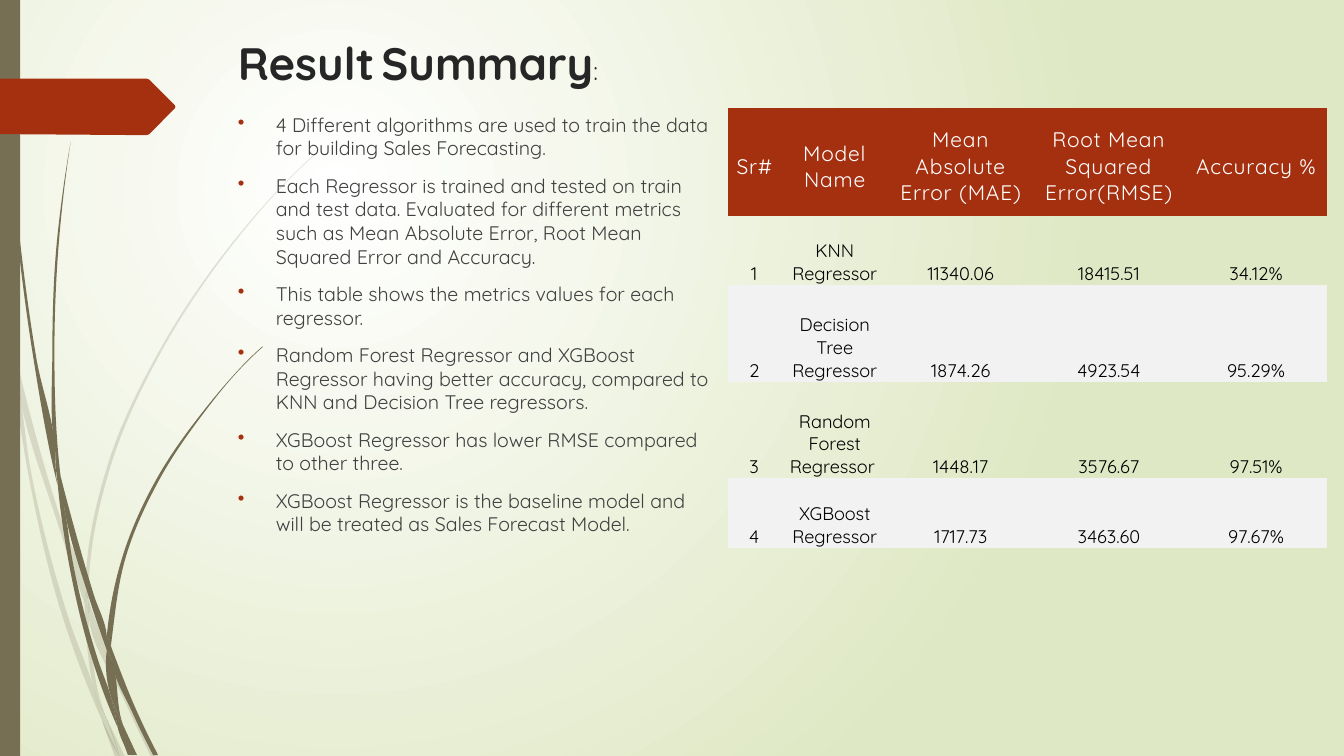
from math import dist

from lxml import etree
from pptx import Presentation
from pptx.dml.color import RGBColor
from pptx.enum.shapes import MSO_SHAPE
from pptx.enum.text import MSO_ANCHOR, PP_ALIGN
from pptx.oxml.ns import qn
from pptx.util import Pt

RECTANGLE = MSO_SHAPE.RECTANGLE
TOP, MIDDLE, BOTTOM = MSO_ANCHOR.TOP, MSO_ANCHOR.MIDDLE, MSO_ANCHOR.BOTTOM
CENTER = PP_ALIGN.CENTER
NO_TABLE_STYLE = "{2D5ABB26-0587-4C30-8999-92F81FD0307C}"

FAINT_GRASS = [
    [(7.9, 252), (6.5, 231.8), (0, 203), (0, 215.3), (7.2, 247.7)],
    [(41.8, 375.8), (60.5, 431.3), (61.2, 421.9), (44.6, 374.4), (10.1, 248.4), (12.2, 270.7)],
    [(66.2, 437), (63.4, 429.1), (63.4, 439.2), (88.6, 499.7), (108, 540.7), (111.6, 540.7),
     (91.4, 498.2)],
    [(85.7, 540.7), (89.3, 540.7), (75.6, 511.9)],
    [(67, 491.8), (50.4, 445.7), (22.3, 337.7), (12.2, 270.7), (7.9, 252), (20.2, 338.4),
     (46.8, 447.1), (66.2, 499), (72.7, 514.1), (71.3, 509)],
    [(60.5, 431.3), (62.6, 465.1), (67, 491.8), (69.1, 498.2), (75.6, 511.9), (74.2, 508.3),
     (65.5, 465.1), (63.4, 439.2), (63.4, 437.8)],
    [(63.4, 420.5), (79.2, 332.6), (115.2, 251.3), (164.9, 176.4), (193, 142.6), (208.8, 126),
     (224.6, 110.9), (224.6, 110.2), (208.1, 126), (193, 141.8), (164.2, 175.7),
     (113.8, 250.6), (77, 331.9), (61.2, 420.5), (61.2, 421.9), (63.4, 429.1)],
    [(72.7, 514.1), (82.1, 540.7), (85.7, 540.7)],
    [(63.4, 437.8), (63.4, 439.2), (63.4, 429.1), (61.2, 421.9), (60.5, 431.3)],
    [(69.1, 498.2), (67, 491.8), (71.3, 509), (72.7, 514.1), (85.7, 540.7), (75.6, 511.9)],
]
DARK_GRASS = [
    [(5, 79.2), (12.2, 167.8), (23.8, 255.6), (40.3, 343.4), (41, 346.3), (39.6, 329),
     (39.6, 326.2), (25.9, 255.6), (13.7, 167), (5.8, 78.5), (3.6, 34.6), (2.9, 0), (2.2, 0),
     (2.9, 34.6)],
    [(63.4, 426.2), (76.3, 464.4), (76.3, 454.3), (67, 424.8), (43.2, 339.8), (46.1, 363.6)],
    [(81.4, 467.3), (79.2, 461.5), (79.9, 472.3), (95, 509.8), (109.4, 539.3), (113, 539.3),
     (97.9, 508.3)],
    [(79.2, 497.5), (70.6, 473), (51.8, 400.3), (46.1, 363.6), (41, 343.4), (49, 401),
     (67, 474.5), (79.9, 509.8), (84.2, 519.8), (83.5, 516.2)],
    [(43.2, 339.8), (41.8, 326.2), (38.9, 251.3), (41.8, 176.4), (45.4, 139), (50.4, 101.5),
     (44.6, 139), (40.3, 176.4), (37.4, 251.3), (39.6, 323.3)],
    [(95.8, 539.3), (97.9, 539.3), (87.8, 517.7)],
    [(41, 343.4), (46.1, 363.6), (43.2, 339.8), (39.6, 323.3), (39.6, 326.2)],
    [(79.9, 455.8), (90, 397.4), (113.8, 342.7), (147.6, 292.3), (166.3, 269.3),
     (176.4, 258.5), (187.9, 247.7), (187.2, 247.7), (176.4, 257.8), (166.3, 268.6),
     (146.9, 291.6), (112.3, 341.3), (87.8, 396.7), (76.3, 454.3), (79.2, 461.5)],
    [(84.2, 519.8), (91.4, 539.3), (94.3, 539.3)],
    [(76.3, 464.4), (79.2, 497.5), (83.5, 508.3), (87.8, 517.7), (87.1, 515.5), (79.9, 472.3),
     (78.5, 468.7)],
    [(76.3, 464.4), (78.5, 468.7), (79.9, 472.3), (79.2, 461.5), (76.3, 454.3)],
    [(83.5, 508.3), (79.2, 497.5), (83.5, 516.2), (84.2, 519.8), (93.6, 539.3), (95.8, 539.3),
     (87.8, 517.7)],
]
BANNER = [(124.9, 77.5), (106.6, 95.8), (105, 96.5), (98, 96.5), (0, 95.8), (0, 56.2),
          (105, 56.2), (106.6, 56.9), (124.9, 75.2), (125.3, 76.3)]
TITLE = [("Result", 32.4, True), (" ", 18, True), ("Summary", 32.4, True), (":", 18, False)]
FINDINGS = [
    "4 Different algorithms are used to train the data for building Sales Forecasting.",
    "Each Regressor is trained and tested on train and test data. Evaluated for different "
    "metrics such as Mean Absolute Error, Root Mean Squared Error and Accuracy.",
    "This table shows the metrics values for each regressor.",
    "Random Forest Regressor and XGBoost Regressor having better accuracy, compared to KNN "
    "and Decision Tree regressors.",
    "XGBoost Regressor has lower RMSE compared to other three.",
    "XGBoost Regressor is the baseline model and will be treated as Sales Forecast Model.",
]
METRICS = [
    ["Sr#", "Model Name", "Mean Absolute Error (MAE)", "Root Mean Squared Error(RMSE)",
     "Accuracy %"],
    ["1", "KNN Regressor", "11340.06", "18415.51", "34.12%"],
    ["2", "Decision Tree Regressor", "1874.26", "4923.54", "95.29%"],
    ["3", "Random Forest Regressor ", "1448.17", "3576.67", "97.51%"],
    ["4", "XGBoost Regressor", "1717.73", "3463.60", "97.67%"],
]


def color(value):
    return RGBColor.from_string(value)


def curve_controls(points):
    """Give both control points of each side, bending gentle joints and keeping corners."""
    sides = list(zip(points, points[1:] + points[:1]))
    lengths = [dist(*side) for side in sides]
    chords = [complex(b[0] - a[0], b[1] - a[1]) / n for (a, b), n in zip(sides, lengths)]
    joints = []
    for i, chord in enumerate(chords):
        before = chords[i - 1]
        blend = before * lengths[i] + chord * lengths[i - 1]
        joints.append(blend / abs(blend) if (before.conjugate() * chord).real > 0.9 else None)
    for i, ((a, b), length, chord) in enumerate(zip(sides, lengths, chords)):
        leave, arrive = joints[i], joints[(i + 1) % len(points)]
        mirror = chord * chord
        first = leave or (mirror * arrive.conjugate() if arrive else chord)
        second = arrive or (mirror * leave.conjugate() if leave else chord)
        yield complex(*a) + first * length / 3, complex(*b) - second * length / 3


class SlideWriter:
    font, accent, stem = "Quicksand", "A53010", "766F54"

    def __init__(self, page):
        self.page = page

    def background(self, center, edge):
        fill = self.page.background.fill
        fill.gradient()
        for stop, value in zip(fill.gradient_stops, (center, edge)):
            stop.color.rgb = color(value)
        gradient = self.page.element.find(".//" + qn("a:gradFill"))
        gradient.remove(gradient.find(qn("a:lin")))
        shade = etree.SubElement(gradient, qn("a:path"), {"path": "circle"})
        etree.SubElement(shade, qn("a:fillToRect"),
                         {"l": "50000", "t": "50000", "r": "100000", "b": "100000"})

    def paint(self, shape, value, opacity=100):
        shape.shadow.inherit = False
        shape.line.fill.background()
        shape.fill.solid()
        shape.fill.fore_color.rgb = color(value)
        if opacity < 100:
            tint = shape.element.spPr.find(".//" + qn("a:srgbClr"))
            etree.SubElement(tint, qn("a:alpha"), {"val": str(opacity * 1000)})

    def outline(self, points, value, opacity=100):
        start, *rest = [(Pt(x), Pt(y)) for x, y in points]
        builder = self.page.shapes.build_freeform(*start)
        builder.add_line_segments(rest + [start], close=True)
        shape = builder.convert_to_shape()
        self.paint(shape, value, opacity)
        return shape

    def blade(self, points, opacity):
        shape = self.outline(points, self.stem, opacity)
        sides = shape.element.findall(".//" + qn("a:lnTo"))
        for side, controls in zip(sides, curve_controls(points)):
            side.tag = qn("a:cubicBezTo")
            for place, spot in enumerate(controls):
                x, y = Pt(spot.real) - shape.left, Pt(spot.imag) - shape.top
                side.insert(place, etree.Element(qn("a:pt"), {"x": str(x), "y": str(y)}))

    def rectangle(self, left, top, width, height, value):
        shape = self.page.shapes.add_shape(RECTANGLE, Pt(left), Pt(top), Pt(width), Pt(height))
        self.paint(shape, value)

    def style(self, paragraph, size, value):
        paragraph.font.name = self.font
        paragraph.font.size = Pt(size)
        paragraph.font.color.rgb = color(value)

    def text_frame(self, left, top, width, height, anchor):
        box = self.page.shapes.add_textbox(Pt(left), Pt(top), Pt(width), Pt(height))
        box.text_frame.word_wrap = True
        box.text_frame.vertical_anchor = anchor
        return box.text_frame

    def title(self, spans, *place):
        paragraph = self.text_frame(*place, BOTTOM).paragraphs[0]
        for text, size, bold in spans:
            span = paragraph.add_run()
            span.text = text
            self.style(span, size, "262626")
            span.font.bold = bold

    def bullets(self, texts, *place):
        frame = self.text_frame(*place, TOP)
        frame.text = "\n".join(texts)
        for paragraph in frame.paragraphs:
            paragraph.space_before = Pt(10)
            self.style(paragraph, 14, "404040")
            properties = paragraph._p.get_or_add_pPr()
            properties.set("marL", str(Pt(27)))
            properties.set("indent", str(Pt(-27)))
            tint = etree.Element(qn("a:buClr"))
            etree.SubElement(tint, qn("a:srgbClr"), {"val": self.accent})
            for element in (tint, etree.Element(qn("a:buChar"), {"char": "•"})):
                properties.find(qn("a:defRPr")).addprevious(element)

    def table(self, rows, left, top, widths, heights):
        frame = self.page.shapes.add_table(len(rows), len(widths), Pt(left), Pt(top),
                                           Pt(sum(widths)), Pt(sum(heights)))
        table = frame.table
        table.first_row = table.horz_banding = False
        table._tbl.tblPr.find(qn("a:tableStyleId")).text = NO_TABLE_STYLE
        for column, width in zip(table.columns, widths):
            column.width = Pt(width)
        for r, (texts, height) in enumerate(zip(rows, heights)):
            table.rows[r].height = Pt(height)
            for c, text in enumerate(texts):
                self.cell(table.cell(r, c), text, r)

    def cell(self, cell, text, row):
        header = row == 0
        cell.text = text
        cell.margin_left = cell.margin_right = Pt(0.7)
        cell.margin_top, cell.margin_bottom = Pt(6.5), Pt(0)
        cell.vertical_anchor = MIDDLE if header else BOTTOM
        cell.fill.background()
        if row % 2 == 0:
            cell.fill.solid()
            cell.fill.fore_color.rgb = color(self.accent if header else "F2F2F2")
        paragraph = cell.text_frame.paragraphs[0]
        paragraph.alignment = CENTER
        self.style(paragraph, 15 if header else 13, "FFFFFF" if header else "000000")
        if header:
            paragraph.runs[0].font._element.set("spc", "60")


deck = Presentation()
deck.slide_width, deck.slide_height = Pt(960), Pt(540)
writer = SlideWriter(deck.slides.add_slide(deck.slide_layouts[6]))
writer.background("FFFFFF", "DFE8C4")
for blades, opacity in ((FAINT_GRASS, 20), (DARK_GRASS, 100)):
    for points in blades:
        writer.blade(points, opacity)
writer.rectangle(0, 0, 14.4, 540, writer.stem)
writer.outline(BANNER, writer.accent)
writer.title(TITLE, 162.9, 12.2, 280.8, 55.4)
writer.bullets(FINDINGS, 162.9, 77, 351.4, 358.6)
writer.table(METRICS, 520, 77, [37.4, 77.8, 102.2, 109.4, 100.8], [77, 49.5, 69.1, 69, 49.7])
deck.save("out.pptx")
